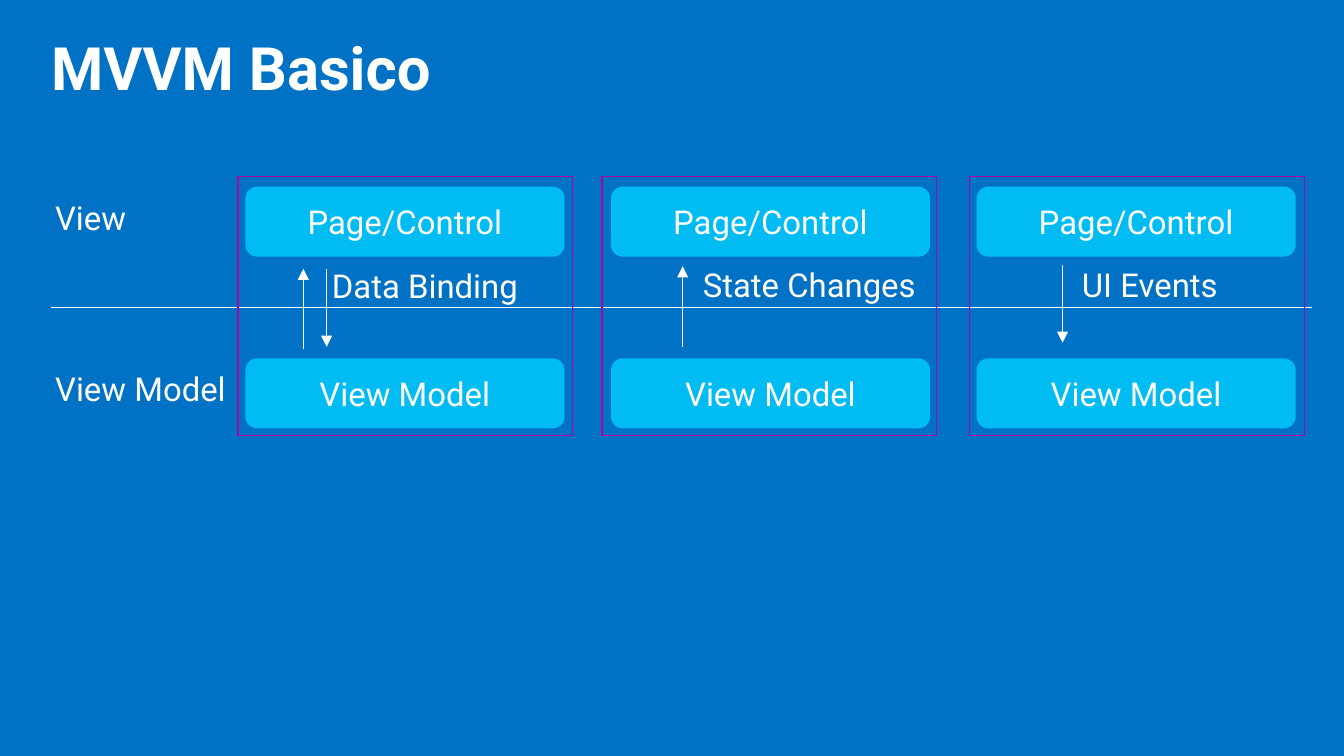
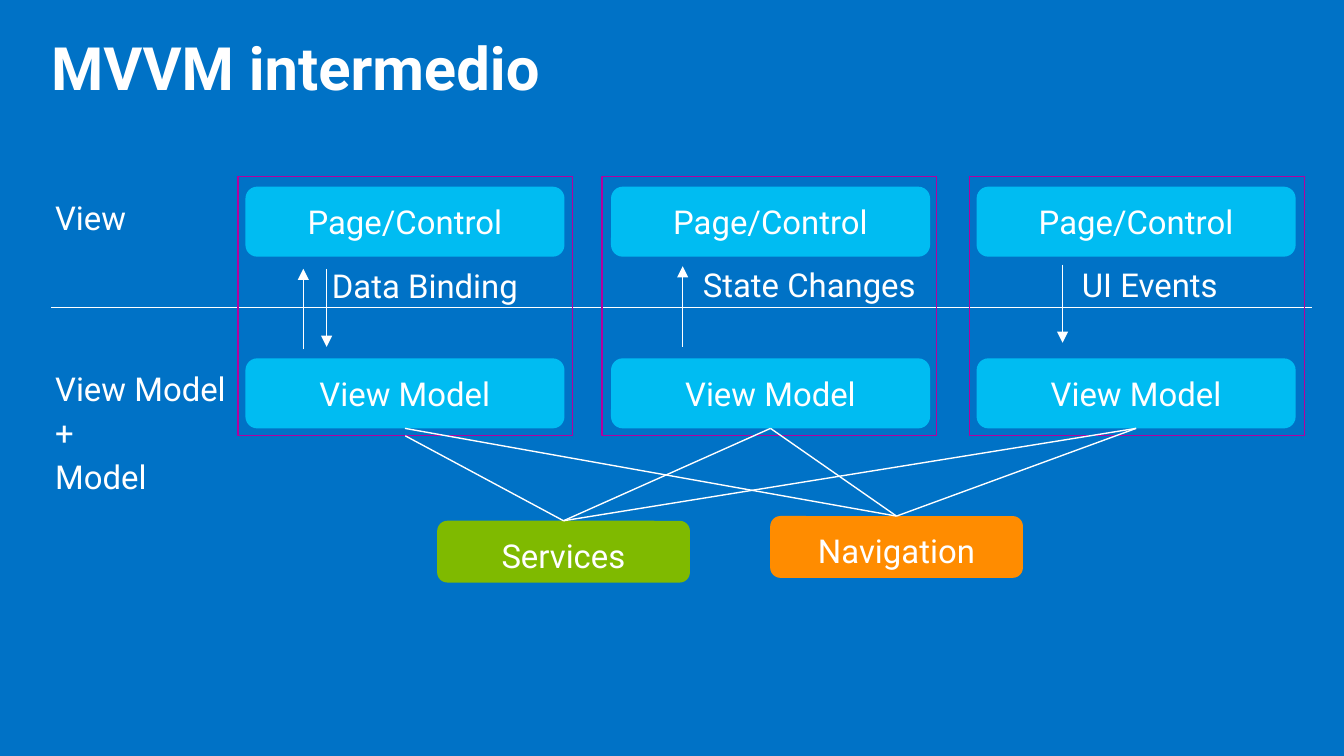
import dataclasses
import typing

import lxml.etree
import pptx
import pptx.dml.color
import pptx.enum.shapes
import pptx.enum.text
import pptx.oxml.ns
import pptx.util

Pt = pptx.util.Pt
ALIGN = pptx.enum.text.PP_ALIGN
ANCHOR = pptx.enum.text.MSO_ANCHOR
AUTO_SIZE = pptx.enum.text.MSO_AUTO_SIZE
SHAPE = pptx.enum.shapes.MSO_SHAPE

BLUE, WHITE, PURPLE, CYAN = "0072C6", "FFFFFF", "B4009E", "00BCF2"
GREEN, ORANGE = "7FBA00", "FF8C00"
TITLE_FONT = {"name": "Roboto", "size": Pt(32), "bold": True}
BODY_FONT = {"name": "Roboto", "size": Pt(17.6), "bold": False}
TITLE_FRAME = {"margin_left": 0, "margin_top": 0, "margin_right": 0, "margin_bottom": 0,
               "vertical_anchor": ANCHOR.MIDDLE, "word_wrap": True,
               "auto_size": AUTO_SIZE.SHAPE_TO_FIT_TEXT}
BOX_FRAME = {"margin_left": Pt(10.8), "margin_top": Pt(8.64),
             "margin_right": Pt(10.8), "margin_bottom": Pt(8.64),
             "vertical_anchor": ANCHOR.TOP, "word_wrap": True,
             "auto_size": AUTO_SIZE.NONE}
LABEL_FRAME = BOX_FRAME | {"auto_size": AUTO_SIZE.SHAPE_TO_FIT_TEXT}
BOX_PARA = {"alignment": ALIGN.CENTER, "line_spacing": 0.9}
TITLE_PARA = {"alignment": ALIGN.LEFT, "line_spacing": 0.9}
LABEL_PARA = TITLE_PARA | {"space_after": Pt(4.4)}

BOX_LEFT, BOX_PITCH = 131.5, 195.84
BOX_WIDTH, BOX_HEIGHT = 170.9, 37.5
VIEW_TOP, MODEL_TOP = 100, 192


class Area(typing.NamedTuple):
    left: float
    top: float
    width: float
    height: float

    def lengths(self) -> list:
        return [Pt(value) for value in self]


class Arrow(typing.NamedTuple):
    x: float
    start: float
    end: float


@dataclasses.dataclass(frozen=True)
class Column:
    frame_left: float
    caption: str
    caption_area: Area
    arrows: tuple
    caption_wraps: bool = True


@dataclasses.dataclass(frozen=True)
class Service:
    name: str
    area: Area
    color: str


COLUMNS = (
    Column(127.5, "Data Binding", Area(167, 136, 123, 36),
           (Arrow(162.5, 187.2, 144), Arrow(175, 144, 185.8)), False),
    Column(322.5, "State Changes", Area(365.75, 135.4, 136, 36),
           (Arrow(365.75, 185.8, 142.6),)),
    Column(519.5, "UI Events", Area(568.8, 135.4, 123, 36),
           (Arrow(569.25, 141.8, 183.6),)),
)
NAVIGATION = Service("Navigation", Area(412.6, 276.5, 135.4, 33.1), ORANGE)
SERVICES = Service("Services", Area(234.2, 279, 135.4, 33.1), GREEN)


def rgb(color: str) -> pptx.dml.color.RGBColor:
    return pptx.dml.color.RGBColor.from_string(color)


def apply(target, values: dict) -> None:
    for name, value in values.items():
        setattr(target, name, value)


def write(box, lines: typing.Sequence[str], frame: dict, para_format: dict, font: dict) -> None:
    apply(box.text_frame, frame)
    for index, line in enumerate(lines):
        para = box.text_frame.add_paragraph() if index else box.text_frame.paragraphs[0]
        apply(para, para_format)
        span = para.add_run()
        span.text = line
        apply(span.font, font)
        span.font.color.rgb = rgb(WHITE)


def add_label(shapes, lines: typing.Sequence[str], area: Area, wraps: bool = True) -> None:
    box = shapes.add_textbox(*area.lengths())
    write(box, lines, LABEL_FRAME | {"word_wrap": wraps}, LABEL_PARA, BODY_FONT)


def add_box(shapes, text: str, area: Area, color: str):
    box = shapes.add_shape(SHAPE.ROUNDED_RECTANGLE, *area.lengths())
    box.shadow.inherit = False
    box.fill.solid()
    box.fill.fore_color.rgb = rgb(color)
    box.line.fill.background()
    write(box, [text], BOX_FRAME, BOX_PARA, BODY_FONT)
    return box


def add_frame(shapes, left: float):
    frame = shapes.add_shape(SHAPE.RECTANGLE, *Area(left, 94.5, 179.3, 139).lengths())
    frame.shadow.inherit = False
    frame.fill.background()
    frame.line.color.rgb = rgb(PURPLE)
    frame.line.width = Pt(0.75)
    return frame


def add_line(shapes, start: tuple = (0, 0), end: tuple = (0, 0), arrow: bool = False):
    line = shapes.add_connector(pptx.enum.shapes.MSO_CONNECTOR.STRAIGHT,
                                *(Pt(value) for value in (*start, *end)))
    line.line.color.rgb = rgb(WHITE)
    line.line.width = Pt(0.75)
    properties = line._element.spPr
    if arrow:
        outline = properties.find(pptx.oxml.ns.qn("a:ln"))
        lxml.etree.SubElement(outline, pptx.oxml.ns.qn("a:tailEnd"), type="triangle")
    lxml.etree.SubElement(properties, pptx.oxml.ns.qn("a:effectLst"))
    return line


def add_column(page, index: int, column: Column) -> tuple:
    shapes = page.shapes.add_group_shape().shapes
    frame = add_frame(shapes, column.frame_left)
    left = BOX_LEFT + index * BOX_PITCH
    add_box(shapes, "Page/Control", Area(left, VIEW_TOP, BOX_WIDTH, BOX_HEIGHT), CYAN)
    model = add_box(shapes, "View Model", Area(left, MODEL_TOP, BOX_WIDTH, BOX_HEIGHT), CYAN)
    for arrow in column.arrows:
        add_line(shapes, (arrow.x, arrow.start), (arrow.x, arrow.end), arrow=True)
    add_label(shapes, [column.caption], column.caption_area, column.caption_wraps)
    return frame, model


def add_service(page, service: Service, sources: typing.Sequence) -> None:
    box = add_box(page.shapes, service.name, service.area, service.color)
    for source in sources:
        line = add_line(page.shapes)
        line.begin_connect(source, 2)
        line.end_connect(box, 0)


def add_page(deck, title: str, model_lines: typing.Sequence[str]) -> tuple:
    page = deck.slides.add_slide(deck.slide_layouts[5])
    heading = page.shapes.title
    apply(heading, dict(zip(Area._fields, Area(27.4, 20.9, 658.8, 34.6).lengths())))
    write(heading, [title], TITLE_FRAME, TITLE_PARA, TITLE_FONT)
    add_line(page.shapes, (27.4, 164.7), (702.7, 164.7))
    add_label(page.shapes, ["View"], Area(18.7, 99.4, 75, 36))
    label_height = 36 + 23.4 * (len(model_lines) - 1)
    add_label(page.shapes, model_lines, Area(18.7, 191.5, 116.6, label_height))
    columns = [add_column(page, index, column) for index, column in enumerate(COLUMNS)]
    return page, columns


def main() -> None:
    deck = pptx.Presentation()
    deck.slide_width, deck.slide_height = Pt(720), Pt(405)
    background = deck.slide_master.background.fill
    background.solid()
    background.fore_color.rgb = rgb(BLUE)

    add_page(deck, "MVVM Basico", ["View Model"])
    page, columns = add_page(deck, "MVVM intermedio", ["View Model", "+", "Model"])
    first_frame = columns[0][0]
    models = [model for _, model in columns]
    add_service(page, NAVIGATION, models)
    add_service(page, SERVICES, [first_frame, *models[1:]])
    deck.save("out.pptx")


if __name__ == "__main__":
    main()
